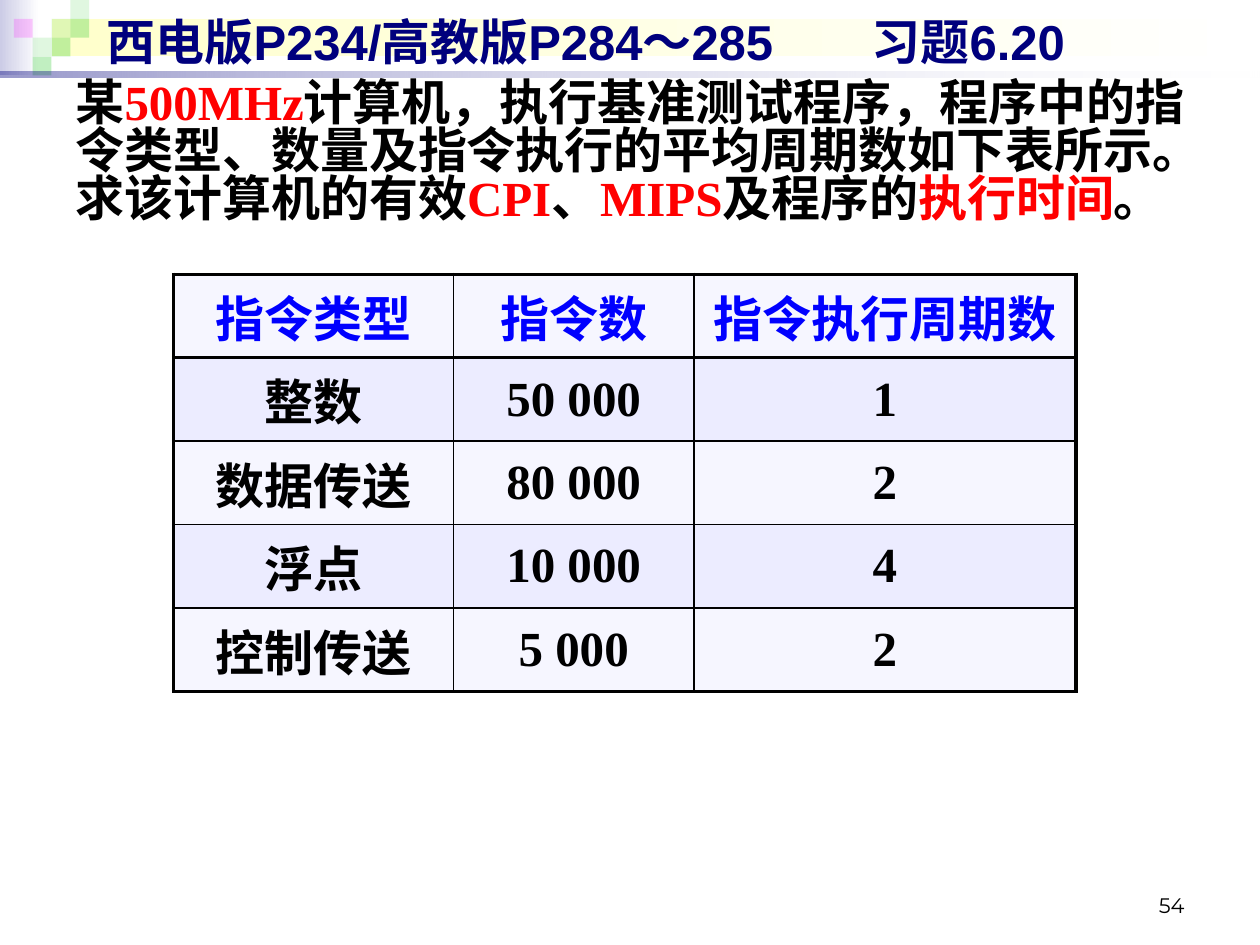
from dataclasses import dataclass

from lxml.etree import SubElement
from pptx import Presentation
from pptx.dml.color import RGBColor
from pptx.enum.shapes import MSO_SHAPE
from pptx.enum.text import MSO_ANCHOR, MSO_AUTO_SIZE, PP_ALIGN
from pptx.oxml.ns import qn
from pptx.util import Cm, Pt


@dataclass(frozen=True)
class Theme:
    navy: str = "00007D"
    black: str = "000000"
    red: str = "FF0000"
    blue: str = "0000FF"
    white: str = "FFFFFF"
    lavender: str = "CCCCE6"
    cream: str = "FFFFCC"
    green: str = "33CC33"
    pink: str = "FF00FF"
    light_row: str = "F6F6FF"
    dark_row: str = "ECECFF"
    heading_font: str = "Arial"
    text_font: str = "Times New Roman"
    number_font: str = "Montserrat"
    large: int = 28
    small: int = 12
    thick: float = 2.25
    thin: float = 1


THEME = Theme()


def write_text(frame, runs, font=THEME.text_font, size=THEME.large, bold=True,
               align=PP_ALIGN.LEFT, anchor=MSO_ANCHOR.TOP, line_spacing=None,
               plain_list=False, tab=None):
    """Write one paragraph of (text, colour) runs."""
    frame.word_wrap = True
    frame.vertical_anchor = anchor
    paragraph = frame.paragraphs[0]
    paragraph.alignment = align
    paragraph.space_before = Pt(0)
    if line_spacing:
        paragraph.line_spacing = line_spacing
    properties = paragraph._p.get_or_add_pPr()
    if plain_list:
        properties.set("marL", "0")
        properties.set("indent", "0")
        SubElement(properties, qn("a:buNone"))
    if tab:
        stops = SubElement(properties, qn("a:tabLst"))
        SubElement(stops, qn("a:tab"), pos=str(tab), algn="l")
    for text, color in runs:
        run = paragraph.add_run()
        run.text = text
        run.font.name, run.font.size, run.font.bold = font, Pt(size), bold
        run.font.color.rgb = RGBColor.from_string(color)


def place(part, box):
    part.left, part.top, part.width, part.height = box


def add_block(group, box, colors, opacities=()):
    """Add a borderless rectangle with a solid or left-to-right gradient fill."""
    block = group.shapes.add_shape(MSO_SHAPE.RECTANGLE, *box)
    block.shadow.inherit = False
    block.line.fill.background()
    if len(colors) == 1:
        block.fill.solid()
        targets = [block.fill.fore_color]
    else:
        block.fill.gradient()
        block.fill.gradient_angle = 0
        targets = [stop.color for stop in block.fill.gradient_stops]
    for target, color in zip(targets, colors):
        target.rgb = RGBColor.from_string(color)
    filled = block._element.spPr.iter(qn("a:srgbClr"))
    for element, opacity in zip(list(filled), opacities):
        SubElement(element, qn("a:alpha"), val=str(opacity * 1000))


def add_banner(slide, box):
    left, top, width, height = box
    banner = slide.shapes.add_group_shape()
    unit = Cm(0.38)
    grid_left = left + Cm(0.28)

    # Gradient bands
    add_block(banner, (left, top, Cm(0.79), Cm(1.52)), (THEME.lavender, THEME.white))
    add_block(banner, (left + Cm(1.04), top + unit, Cm(24.26), 2 * unit),
              (THEME.cream, THEME.white))

    # Mosaic squares: column, row, colour, opacity
    for column, row, color, opacity in (
            (2, 1, THEME.green, 15), (3, 0, THEME.green, 15),
            (3, 1, THEME.green, 30), (1, 2, THEME.green, 15),
            (0, 1, THEME.pink, 20), (2, 2, THEME.green, 30),
            (1, 3, THEME.green, 30)):
        add_block(banner, (grid_left + column * unit, top + row * unit, unit, unit),
                  (color,), (opacity,))

    # Rule under the title
    rule = Cm(0.13)
    add_block(banner, (left, top + height - rule, width, rule),
              (THEME.navy, THEME.white), (40, 10))

    # The banner lies behind the placeholders
    slide.shapes.element.insert(2, banner._element)


def add_title(slide, box):
    title = slide.shapes.title
    place(title, box)
    title.text_frame.auto_size = MSO_AUTO_SIZE.NONE
    write_text(title.text_frame,
               [("西电版P234/高教版P284～285\t习题6.20", THEME.navy)],
               font=THEME.heading_font, anchor=MSO_ANCHOR.MIDDLE, tab=Cm(15.42))


def add_problem(slide, box):
    problem = slide.placeholders[1]
    place(problem, box)
    problem.text_frame.auto_size = MSO_AUTO_SIZE.NONE
    write_text(problem.text_frame, [
        ("某", THEME.black),
        ("500MHz", THEME.red),
        ("计算机，执行基准测试程序，程序中的指令类型、数量及指令执行的平均周期数"
         "如下表所示。求该计算机的有效", THEME.black),
        ("CPI", THEME.red),
        ("、", THEME.black),
        ("MIPS", THEME.red),
        ("及程序的", THEME.black),
        ("执行时间", THEME.red),
        ("。", THEME.black),
    ], line_spacing=0.82, plain_list=True)


def set_borders(cell, widths):
    properties = cell._tc.get_or_add_tcPr()
    for index, (side, width) in enumerate(zip("LRTB", widths)):
        line = SubElement(properties, qn(f"a:ln{side}"), w=str(Pt(width)))
        properties.insert(index, line)
        fill = SubElement(line, qn("a:solidFill"))
        SubElement(fill, qn("a:srgbClr"), val=THEME.black)


def add_instruction_table(slide, box):
    instructions = (
        ("指令类型", "指令数", "指令执行周期数"),
        ("整数", "50 000", "1"),
        ("数据传送", "80 000", "2"),
        ("浮点", "10 000", "4"),
        ("控制传送", "5 000", "2"),
    )
    column_widths = (Cm(5.64), Cm(4.85), Cm(7.7))
    last_row, last_column = len(instructions) - 1, len(column_widths) - 1
    table = slide.shapes.add_table(last_row + 1, last_column + 1, *box).table
    for column, width in zip(table.columns, column_widths):
        column.width = width

    for r, values in enumerate(instructions):
        for c, value in enumerate(values):
            cell = table.cell(r, c)
            cell.fill.solid()
            cell.fill.fore_color.rgb = RGBColor.from_string(
                THEME.dark_row if r % 2 else THEME.light_row)
            cell.vertical_anchor = MSO_ANCHOR.MIDDLE
            write_text(cell.text_frame,
                       [(value, THEME.black if r else THEME.blue)],
                       align=PP_ALIGN.CENTER, anchor=MSO_ANCHOR.MIDDLE)
            # Heavy frame and heavy line below the header
            heavy = (c == 0, c == last_column, r <= 1, r in (0, last_row))
            set_borders(cell, [THEME.thick if h else THEME.thin for h in heavy])


def add_page_number(slide, box):
    page_number = slide.shapes.add_textbox(*box)
    write_text(page_number.text_frame, [("54", THEME.black)],
               font=THEME.number_font, size=THEME.small, bold=False,
               align=PP_ALIGN.RIGHT, anchor=MSO_ANCHOR.BOTTOM)


def main():
    deck = Presentation()
    deck.slide_width, deck.slide_height = Cm(25.4), Cm(19.05)
    slide = deck.slides.add_slide(deck.slide_layouts[1])
    add_banner(slide, (Cm(0), Cm(0), deck.slide_width, Cm(1.57)))
    add_title(slide, (Cm(1.9), Cm(0.13), Cm(23.2), Cm(1.4)))
    add_problem(slide, (Cm(1.27), Cm(1.52), Cm(23.83), Cm(3.99)))
    add_instruction_table(slide, (Cm(3.5), Cm(5.53), Cm(18.19), Cm(8.4)))
    add_page_number(slide, (Cm(18.2), Cm(17.35), Cm(5.93), Cm(1.27)))
    deck.save("out.pptx")


if __name__ == "__main__":
    main()
